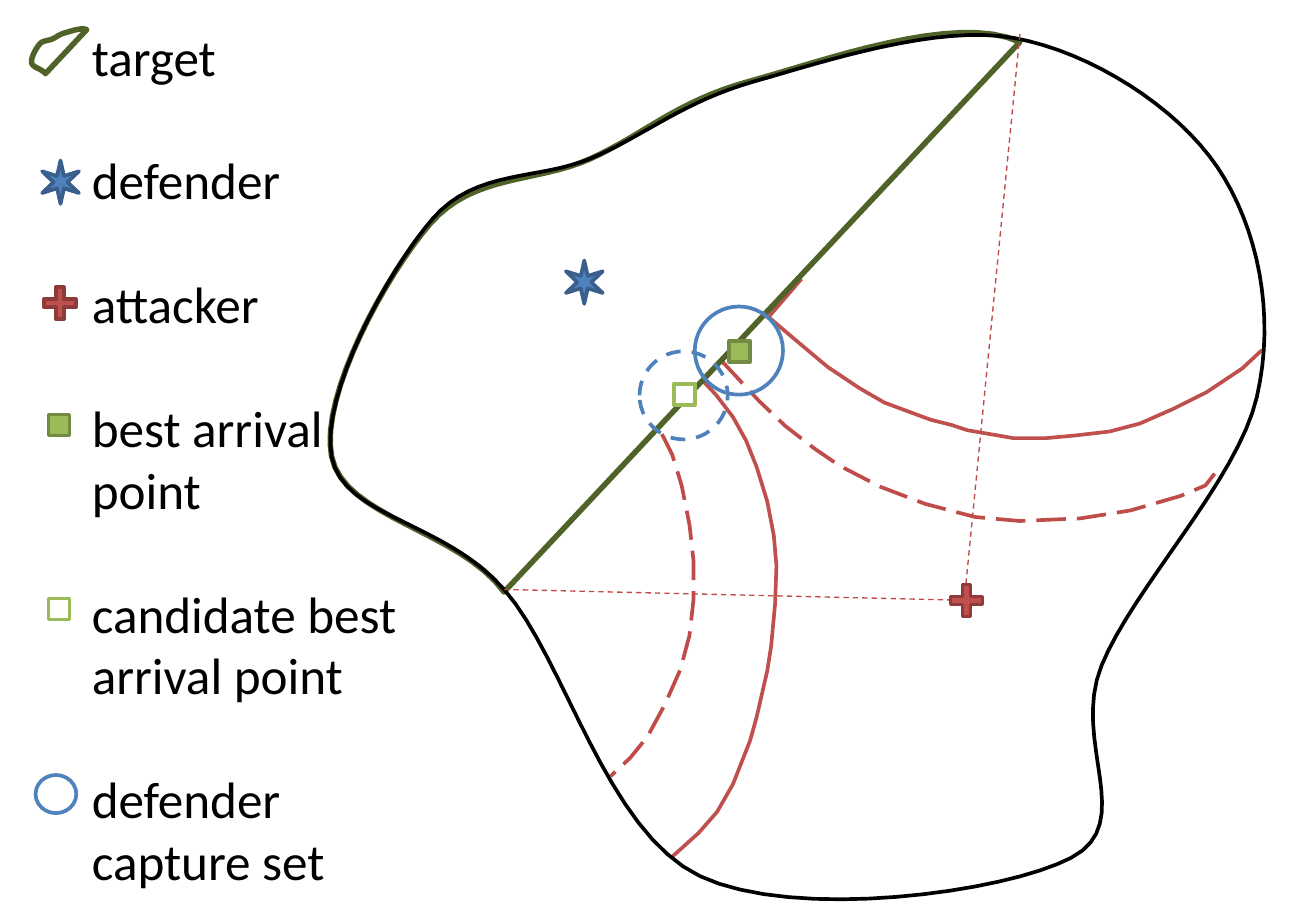
from lxml import etree
from pptx import Presentation
from pptx.dml.color import RGBColor
from pptx.enum.dml import MSO_LINE_DASH_STYLE as Dash
from pptx.enum.shapes import MSO_CONNECTOR, MSO_SHAPE as Geo
from pptx.oxml.ns import qn
from pptx.util import Cm, Pt

LEGEND = ["target", "defender", "attacker", "best arrival point",
          "candidate best arrival point", "defender capture set"]
FONT, SIZE, LINE_HEIGHT = "Calibri", 28, 34.2

BOUNDARY = [(5.73, 0.62), (7.71, 0.29), (9.25, 1.27), (9.55, 3.02), (8.37, 5.06),
            (8.14, 6.52), (5.32, 6.66), (3.83, 4.48), (2.52, 3.47), (3.29, 1.66),
            (4.5, 1.2)]
TARGET = [(3.83, 4.5), (2.52, 3.47), (3.27, 1.7), (4.48, 1.21), (5.69, 0.62),
          (7.75, 0.32)]
TARGET_LEAD_IN, TARGET_LEAD_OUT = (4.56, 6.29), (8.63, 2.0)
TARGET_CORNER, ICON_CORNER, ICON_SCALE = (2.51, 0.25), (0.24, 0.22), 0.08

SOLID_ARCS = [
    [(5.28, 2.83), (5.44, 3), (5.57, 3.17), (5.67, 3.35), (5.75, 3.55), (5.83, 3.81),
     (5.88, 4.07), (5.9, 4.3), (5.89, 4.59), (5.86, 4.91), (5.83, 5.1), (5.75, 5.45),
     (5.7, 5.63), (5.57, 5.96), (5.45, 6.17), (5.31, 6.33), (5.11, 6.51)],
    [(6.09, 2.12), (5.84, 2.41), (6.04, 2.58), (6.29, 2.79), (6.53, 2.95),
     (6.72, 3.06), (7.07, 3.19), (7.23, 3.23), (7.35, 3.27), (7.7, 3.33), (7.95, 3.33),
     (8.17, 3.31), (8.43, 3.28), (8.66, 3.22), (8.91, 3.11), (9.17, 2.98),
     (9.44, 2.8), (9.59, 2.66)]]
DASHED_ARCS = [
    [(5.03, 3.3), (5.11, 3.46), (5.18, 3.69), (5.24, 3.99), (5.27, 4.26), (5.27, 4.56),
     (5.24, 4.83), (5.17, 5.09), (5.05, 5.36), (4.92, 5.6), (4.79, 5.76), (4.64, 5.9)],
    [(5.49, 2.75), (5.77, 3.05), (5.97, 3.24), (6.19, 3.41), (6.38, 3.54), (6.69, 3.7),
     (7.03, 3.83), (7.41, 3.93), (7.75, 3.96), (8.21, 3.94), (8.59, 3.88),
     (8.97, 3.77), (9.16, 3.69), (9.23, 3.6)]]
SIGHT_LINES = [((3.83, 4.48), (7.22, 4.56)), ((7.75, 0.26), (7.34, 4.44))]

SQUARE, STAR, PLUS = (0.16, 0.16), (0.28, 0.33), (0.33, 0.33)
BEST = (Geo.RECTANGLE, SQUARE, "9BBB59", "738A42", [])
CANDIDATE = (Geo.RECTANGLE, SQUARE, "FFFFFF", "9BBB59", [])
DEFENDER = (Geo.STAR_6_POINT, STAR, "4F81BD", "3A5F8C", [0.164, 1.155])
ATTACKER = (Geo.MATH_PLUS, PLUS, "C0504D", "8E3B39", [0.186])
CAPTURE = (Geo.OVAL, (0.67, 0.67), None, "4F81BD", [])
CAPTURE_ICON = (Geo.OVAL, (0.31, 0.29), None, "4F81BD", [])
MARKERS = [(CANDIDATE, 0.37, 4.55, None), (BEST, 0.37, 3.15, None),
           (CANDIDATE, 5.12, 2.92, None), (BEST, 5.54, 2.59, None),
           (ATTACKER, 7.18, 4.4, None), (ATTACKER, 0.29, 2.14, None),
           (DEFENDER, 4.3, 1.98, None), (DEFENDER, 0.32, 1.22, None),
           (CAPTURE, 5.28, 2.33, None), (CAPTURE, 4.86, 2.67, Dash.DASH),
           (CAPTURE_ICON, 0.27, 5.89, None)]


def inch(v):
    return Cm(v * 2.54)


def rgb(color):
    return RGBColor.from_string(color)


def curve(knots, steps=16):
    """Smooth path through all knots but the first and last, which only steer it."""
    pts = [knots[1]]
    for a, b, c, d in zip(knots, knots[1:], knots[2:], knots[3:]):
        for t in (i / steps for i in range(1, steps + 1)):
            pts.append(tuple(
                (2 * q + (r - p) * t + (2 * p - 5 * q + 4 * r - s) * t ** 2
                 + (3 * q - p - 3 * r + s) * t ** 3) / 2
                for p, q, r, s in zip(a, b, c, d)))
    return pts


def style(sp, fill, line, width, dash=None):
    sp.shadow.inherit = False
    if fill:
        sp.fill.solid()
        sp.fill.fore_color.rgb = rgb(fill)
    else:
        sp.fill.background()
    style_line(sp.line, line, width, dash)


def style_line(ln, color, width, dash=None):
    ln.color.rgb = rgb(color)
    ln.width = Pt(width)
    if dash:
        ln.dash_style = dash


def add_path(shapes, pts, fill, line, width, dash=None, close=False):
    pts = [(inch(x), inch(y)) for x, y in pts]
    builder = shapes.build_freeform(*pts[0])
    builder.add_line_segments(pts[1:], close=close)
    style(builder.convert_to_shape(), fill, line, width, dash)


def add_marker(shapes, kind, x, y, dash):
    geo, size, fill, line, adjustments = kind
    sp = shapes.add_shape(geo, *map(inch, (x, y, *size)))
    for i, value in enumerate(adjustments):
        sp.adjustments[i] = value
    style(sp, fill, line, 2, dash)


def add_sight_line(shapes, start, end):
    cx = shapes.add_connector(MSO_CONNECTOR.STRAIGHT, *map(inch, start + end))
    style_line(cx.line, "BF4C48", 0.75, Dash.DASH)
    etree.SubElement(cx._element.spPr, qn("a:effectLst"))


def add_legend(shapes):
    tf = shapes.add_textbox(*map(inch, (0.6, 0.14, 2.84, 6.7))).text_frame
    tf.word_wrap = True
    for i, label in enumerate(LEGEND):
        p = tf.add_paragraph() if i else tf.paragraphs[0]
        if i:
            p.space_before = Pt(LINE_HEIGHT)
        r = p.add_run()
        r.text = label
        r.font.name, r.font.size = FONT, Pt(SIZE)
        r.font.color.rgb = rgb("000000")


def main():
    prs = Presentation()
    prs.slide_width, prs.slide_height = inch(10), inch(7)
    shapes = prs.slides.add_slide(prs.slide_layouts[6]).shapes

    for arc in DASHED_ARCS:
        add_path(shapes, arc, None, "BF4C48", 2, Dash.LONG_DASH)
    for arc in SOLID_ARCS:
        add_path(shapes, arc, None, "C0504D", 2)

    target = curve([TARGET_LEAD_IN, *TARGET, TARGET_LEAD_OUT])
    icon = [tuple(to + (v - at) * ICON_SCALE
                  for v, at, to in zip(pt, TARGET_CORNER, ICON_CORNER)) for pt in target]
    for outline in (target, icon):
        add_path(shapes, outline, "FFFFFF", "4F6228", 3, close=True)
    add_legend(shapes)
    boundary = curve([BOUNDARY[-1], *BOUNDARY, *BOUNDARY[:2]])
    add_path(shapes, boundary, None, "000000", 2, close=True)

    for start, end in SIGHT_LINES:
        add_sight_line(shapes, start, end)
    for marker in MARKERS:
        add_marker(shapes, *marker)
    prs.save("out.pptx")


if __name__ == "__main__":
    main()
